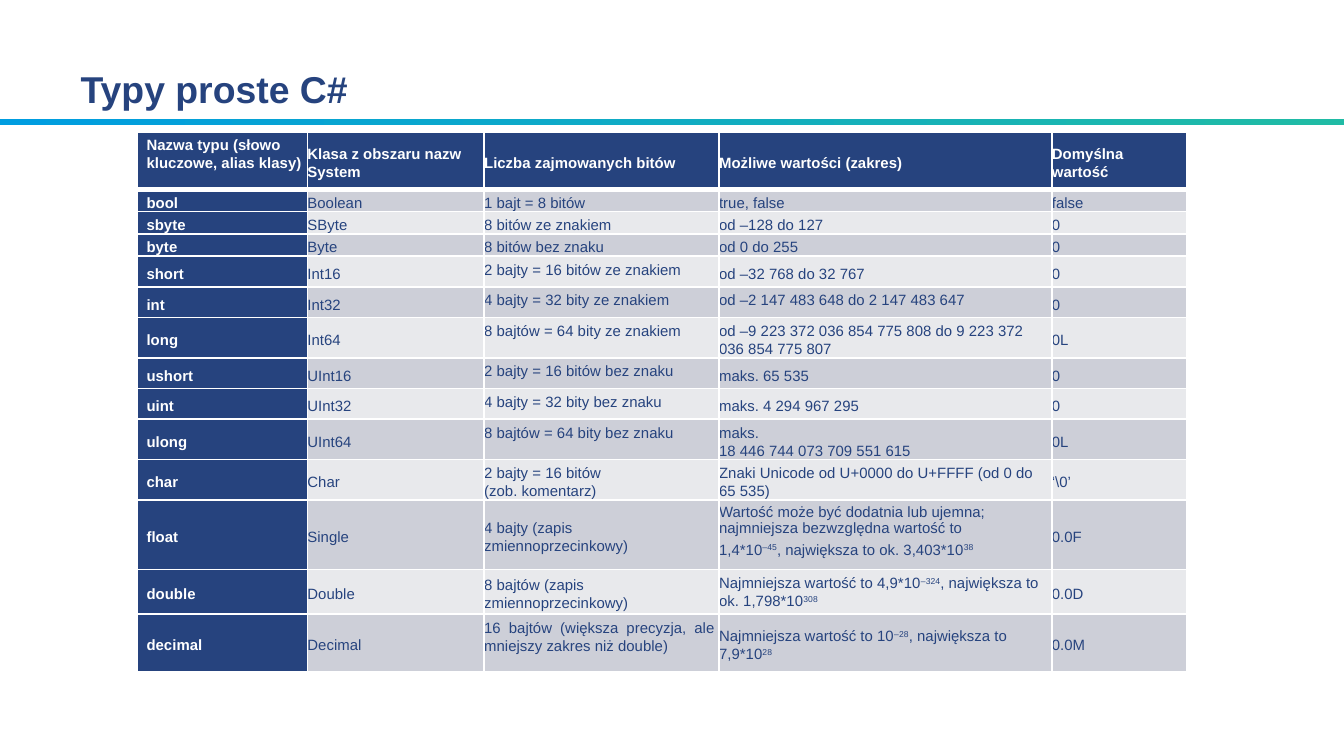
import pptx
import pptx.util
import pptx.dml.color
import pptx.enum.shapes
import pptx.enum.text
import lxml.etree
from pptx.util import Cm

HUES = {"navy": "26437E", "white": "FFFFFF", "dark": "CDCFD8",
        "light": "E8E9EC", "blue": "009DE0", "teal": "20BBA5"}
WIDTHS = [3.21, 3.34, 4.44, 6.29, 2.55]
HEIGHTS = [1.09] + [0.33] * 3 + [0.58] * 7 + [1.32, 0.84, 1.09]

# A line break starts a new paragraph; text between carets is superscript.
ROWS = [
    ["Nazwa typu (słowo kluczowe, alias klasy)", "Klasa z obszaru nazw System",
     "Liczba zajmowanych bitów", "Możliwe wartości (zakres)", "Domyślna wartość"],
    ["bool", "Boolean", "1 bajt = 8 bitów", "true, false", "false"],
    ["sbyte", "SByte", "8 bitów ze znakiem", "od –128 do 127", "0"],
    ["byte", "Byte", "8 bitów bez znaku", "od 0 do 255", "0"],
    ["short", "Int16", "2 bajty = 16 bitów ze znakiem", "od –32 768 do 32 767", "0"],
    ["int", "Int32", "4 bajty = 32 bity ze znakiem",
     "od –2 147 483 648 do 2 147 483 647", "0"],
    ["long", "Int64", "8 bajtów = 64 bity ze znakiem",
     "od –9 223 372 036 854 775 808 do 9 223 372 036 854 775 807", "0L"],
    ["ushort", "UInt16", "2 bajty = 16 bitów bez znaku", "maks. 65 535", "0"],
    ["uint", "UInt32", "4 bajty = 32 bity bez znaku", "maks. 4 294 967 295", "0"],
    ["ulong", "UInt64", "8 bajtów = 64 bity bez znaku",
     "maks.\n18 446 744 073 709 551 615", "0L"],
    ["char", "Char", "2 bajty = 16 bitów\n(zob. komentarz)",
     "Znaki Unicode od U+0000 do U+FFFF (od 0 do 65 535)", "‘\\0’"],
    ["float", "Single", "4 bajty (zapis zmiennoprzecinkowy)",
     "Wartość może być dodatnia lub ujemna; najmniejsza bezwzględna wartość to\n"
     "1,4*10^–45^, największa to ok. 3,403*10^38^", "0.0F"],
    ["double", "Double", "8 bajtów (zapis zmiennoprzecinkowy)",
     "Najmniejsza wartość to 4,9*10^–324^, największa to ok. 1,798*10^308^", "0.0D"],
    ["decimal", "Decimal",
     "16 bajtów (większa precyzja, ale mniejszy zakres niż double)",
     "Najmniejsza wartość to 10^–28^, największa to 7,9*10^28^", "0.0M"],
]
# Cells set at the top; all others are centred vertically.
TOPS = {(0, 0)}
TOPS |= {(row, col) for row in (1, 2, 3) for col in range(5)}
TOPS |= {(row, 2) for row in (4, 5, 6, 7, 8, 9, 10, 13)}
TOPS |= {(row, 3) for row in (5, 6, 9, 10, 11, 12)}


def tint(name):
    return pptx.dml.color.RGBColor.from_string(HUES[name])


class Page:
    def __init__(self, slide, face="Arial"):
        self.slide = slide
        self.face = face

    def style(self, font, size, hue, bold):
        font.name = self.face
        font.size = pptx.util.Pt(size)
        font.bold = bold
        font.color.rgb = tint(hue)

    def title(self, text, left, top, width, height):
        box = self.slide.shapes.title
        box.left, box.top = Cm(left), Cm(top)
        box.width, box.height = Cm(width), Cm(height)
        frame = box.text_frame
        frame.text = text
        frame.auto_size = pptx.enum.text.MSO_AUTO_SIZE.NONE
        frame.vertical_anchor = pptx.enum.text.MSO_ANCHOR.BOTTOM
        para = frame.paragraphs[0]
        para.alignment = pptx.enum.text.PP_ALIGN.LEFT
        self.style(para.runs[0].font, 20, "navy", True)

    def bar(self, left, top, width, height):
        bar = self.slide.shapes.add_shape(
            pptx.enum.shapes.MSO_SHAPE.RECTANGLE,
            Cm(left), Cm(top), Cm(width), Cm(height))
        bar.shadow.inherit = False
        bar.line.fill.background()
        bar.fill.gradient()
        bar.fill.gradient_angle = 0
        for stop, hue in zip(bar.fill.gradient_stops, ("blue", "teal")):
            stop.color.rgb = tint(hue)

    def border(self, cell, base):
        """Draw white lines round the cell, the lower one of base points."""
        space = "http://schemas.openxmlformats.org/drawingml/2006/main"
        props = cell._tc.get_or_add_tcPr()
        for side, size in (("L", 1), ("R", 1), ("T", 1), ("B", base)):
            line = lxml.etree.SubElement(
                props, f"{{{space}}}ln{side}", w=str(pptx.util.Pt(size)))
            fill = lxml.etree.SubElement(line, f"{{{space}}}solidFill")
            lxml.etree.SubElement(fill, f"{{{space}}}srgbClr", val=HUES["white"])

    def label(self, frame, text, hue, bold):
        """Fill the frame, raising the text between carets."""
        frame.text = text.replace("^", "")
        for para, line in zip(frame.paragraphs, text.split("\n")):
            para.line_spacing = 1.07
            parts = line.split("^")
            para.runs[0].text = parts[0]
            for part in parts[1:]:
                if part:
                    para.add_run().text = part
            for index, run in enumerate(para.runs):
                self.style(run.font, 8, hue, bold)
                if index % 2:
                    run._r.get_or_add_rPr().set("baseline", "30000")

    def cell(self, cell, text, row, col):
        head = row == 0 or col == 0
        self.border(cell, 1 if row else 3)
        cell.fill.solid()
        cell.fill.fore_color.rgb = tint(
            "navy" if head else "dark" if row % 2 else "light")
        cell.margin_left = cell.margin_bottom = 0
        cell.margin_top = cell.margin_right = Cm(0.08)
        anchor = pptx.enum.text.MSO_ANCHOR
        cell.vertical_anchor = anchor.TOP if (row, col) in TOPS else anchor.MIDDLE
        self.label(cell.text_frame, text, "white" if head else "navy", head)
        if col == 0:
            props = cell.text_frame.paragraphs[0]._p.get_or_add_pPr()
            props.set("marL", str(Cm(0.17)))

    def table(self, rows, left, top):
        grid = self.slide.shapes.add_table(
            len(rows), len(WIDTHS), Cm(left), Cm(top),
            Cm(sum(WIDTHS)), Cm(sum(HEIGHTS))).table
        for col, width in zip(grid.columns, WIDTHS):
            col.width = Cm(width)
        for line, height in zip(grid.rows, HEIGHTS):
            line.height = Cm(height)
        for row, texts in enumerate(rows):
            for col, text in enumerate(texts):
                self.cell(grid.cell(row, col), text, row, col)
        return grid


def main():
    deck = pptx.Presentation()
    deck.slide_width, deck.slide_height = Cm(25.4), Cm(14.29)
    page = Page(deck.slides.add_slide(deck.slide_layouts[5]))
    page.bar(0, 2.25, 25.4, 0.12)
    page.title("Typy proste C#", 1.27, 0.33, 22.86, 1.9)
    grid = page.table(ROWS, 2.6, 2.49)
    intro = grid.cell(11, 3).text_frame.paragraphs[0]
    intro.line_spacing = 0.97
    intro.space_after = pptx.util.Pt(2)
    last = grid.cell(13, 2).text_frame.paragraphs[0]
    last.alignment = pptx.enum.text.PP_ALIGN.JUSTIFY
    deck.save("out.pptx")


if __name__ == "__main__":
    main()
